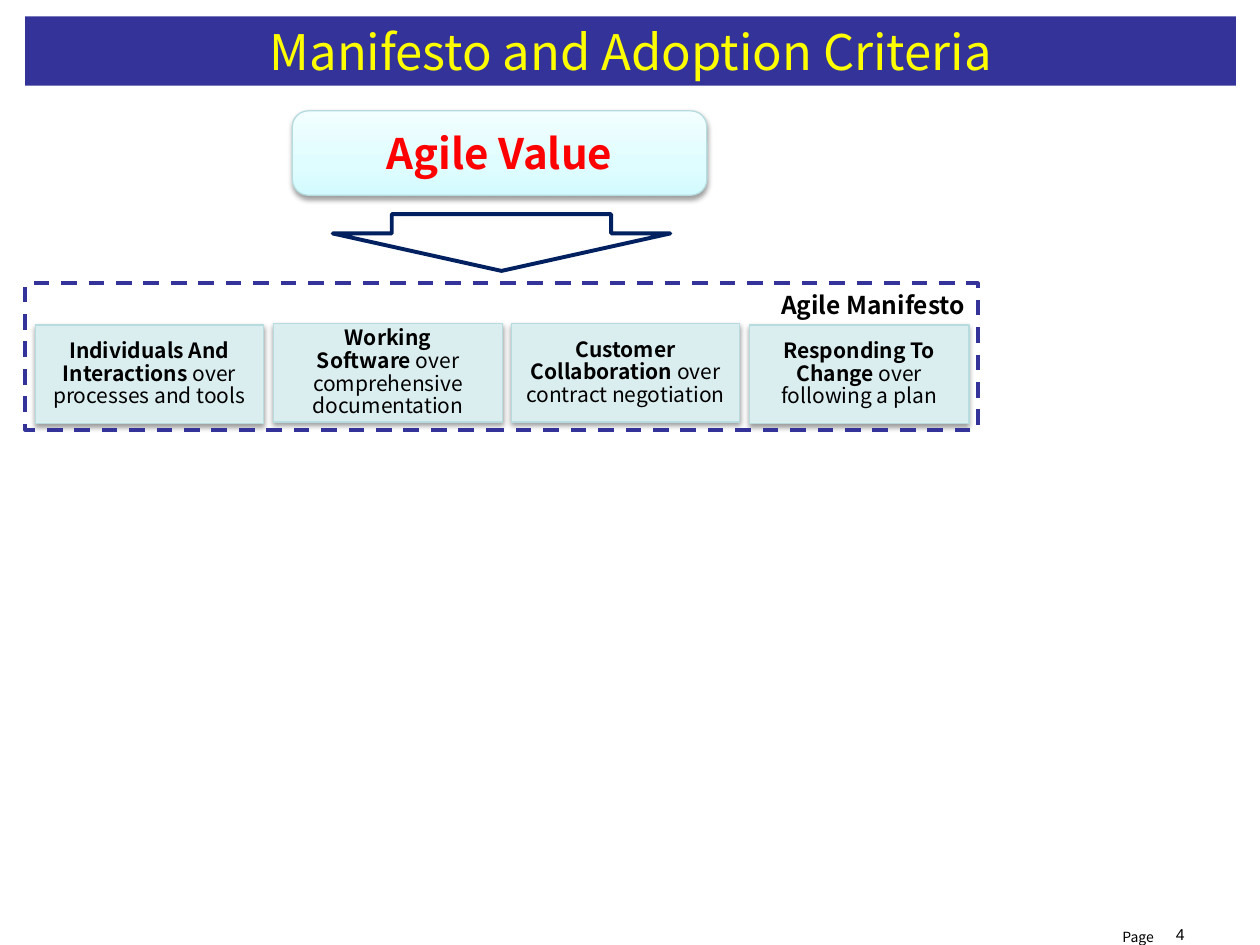
from copy import deepcopy

from lxml import etree
from pptx import Presentation
from pptx.dml.color import RGBColor
from pptx.enum.dml import MSO_LINE
from pptx.enum.shapes import MSO_SHAPE
from pptx.enum.text import MSO_ANCHOR, PP_ALIGN
from pptx.oxml.ns import qn
from pptx.util import Inches, Pt

DASH = MSO_LINE.DASH
RECTANGLE = MSO_SHAPE.RECTANGLE
ROUNDED_RECTANGLE = MSO_SHAPE.ROUNDED_RECTANGLE
DOWN_ARROW = MSO_SHAPE.DOWN_ARROW
TOP, MIDDLE = MSO_ANCHOR.TOP, MSO_ANCHOR.MIDDLE
LEFT, CENTER, RIGHT = PP_ALIGN.LEFT, PP_ALIGN.CENTER, PP_ALIGN.RIGHT

NO_BREAK_SPACE = chr(160)
FONT = "Noto Sans CJK JP"
COLORS = {
    "navy": "333399",
    "yellow": "FFFF00",
    "red": "FF0000",
    "black": "000000",
    "white": "FFFFFF",
    "arrow": "002060",
    "card": "DAEDEF",
    "border": "B6DCDF",
    "value_bottom": "D3FBFF",
    "value_middle": "DFFCFF",
    "value_top": "F2FEFF",
}
VALUE_GRADIENT = [(0, "value_bottom"), (0.35, "value_middle"), (1, "value_top")]
CARD_PITCH = 1.89
CARDS = [
    ("Individuals And Interactions", "over processes and tools", 2.58, 1.81),
    ("Working Software", "over comprehensive documentation", 2.57, 1.82),
    ("Customer Collaboration", "over contract negotiation", 2.57, 1.81),
    ("Responding To Change", "over following a plan", 2.58, 1.74),
]


class SlideBuilder:
    def __init__(self, slide):
        self.slide = slide
        self.font = FONT

    def text(self, shape, runs, size, color="black", align=CENTER, anchor=MIDDLE, font=None):
        frame = shape.text_frame
        frame.vertical_anchor = anchor
        paragraph = frame.paragraphs[0]
        paragraph.alignment = align
        for words, bold in runs:
            run = paragraph.add_run()
            run.text = words
            run.font.name = font or self.font
            run.font.size = Pt(size)
            run.font.bold = bold
            run.font.color.rgb = RGBColor.from_string(COLORS[color])
        return paragraph

    def shape(self, kind, box, fill=None, line=None, line_width=0.75, adjustments=()):
        shape = self.slide.shapes.add_shape(kind, *map(Inches, box))
        shape.shadow.inherit = False
        shape.text_frame.word_wrap = True
        for index, value in enumerate(adjustments):
            shape.adjustments[index] = value
        if fill:
            shape.fill.solid()
            shape.fill.fore_color.rgb = RGBColor.from_string(COLORS[fill])
        else:
            shape.fill.background()
        if line:
            shape.line.color.rgb = RGBColor.from_string(COLORS[line])
            shape.line.width = Pt(line_width)
        else:
            shape.line.fill.background()
        return shape

    def drop_shadow(self, shape):
        effects = shape.element.spPr.find(qn("a:effectLst"))
        shadow = etree.SubElement(
            effects, qn("a:outerShdw"), blurRad=str(Pt(3.1)), dist=str(Pt(1.6)),
            dir="5400000", rotWithShape="0")
        color = etree.SubElement(shadow, qn("a:srgbClr"), val=COLORS["black"])
        etree.SubElement(color, qn("a:alpha"), val="38000")

    def gradient(self, shape, stops, angle):
        shape.fill.gradient()
        shape.fill.gradient_angle = angle
        stop_list = shape.element.spPr.find(".//" + qn("a:gsLst"))
        while len(stop_list) < len(stops):
            stop_list.append(deepcopy(stop_list[0]))
        for stop, (position, color) in zip(shape.fill.gradient_stops, stops):
            stop.position = position
            stop.color.rgb = RGBColor.from_string(COLORS[color])

    def card(self, box, value, compared):
        card = self.shape(RECTANGLE, box, "card", "border")
        self.drop_shadow(card)
        frame = card.text_frame
        frame.margin_left = frame.margin_right = Inches(0.04)
        frame.margin_top = frame.margin_bottom = Inches(0.04)
        paragraph = self.text(card, [(value + NO_BREAK_SPACE, True), (compared, False)], 12)
        paragraph.line_spacing = 0.9
        paragraph.space_after = Pt(4.2)

    def label(self, box, words, size, align, font=None, wrap=True):
        label = self.slide.shapes.add_textbox(*map(Inches, box))
        label.text_frame.word_wrap = wrap
        self.text(label, [(words, False)], size, align=align, anchor=TOP, font=font)


def main():
    presentation = Presentation()
    presentation.slide_width, presentation.slide_height = Inches(10), Inches(7.5)
    builder = SlideBuilder(presentation.slides.add_slide(presentation.slide_layouts[6]))

    builder.label((8.94, 7.29, 0.56, 0.21), "4", 9, RIGHT, font="Arial")
    builder.label((8.81, 7.32, 0.54, 0.24), "Page", 8, LEFT, wrap=False)

    title = builder.shape(RECTANGLE, (0.2, 0.13, 9.61, 0.55), "navy")
    builder.text(title, [("Manifesto and Adoption Criteria", False)], 28, "yellow")

    for index, (value, compared, top, width) in enumerate(CARDS):
        builder.card((0.28 + index * CARD_PITCH, top, width, 0.78), value, compared)

    agile_value = builder.shape(
        ROUNDED_RECTANGLE, (2.32, 0.88, 3.29, 0.67), line="border", adjustments=[0.19])
    builder.gradient(agile_value, VALUE_GRADIENT, 90)
    builder.drop_shadow(agile_value)
    builder.text(agile_value, [("Agile Value", True)], 24, "red")

    manifesto = builder.shape(
        RECTANGLE, (0.2, 2.25, 7.56, 1.16), line="navy", line_width=2.25)
    manifesto.line.dash_style = DASH
    builder.text(manifesto, [("Agile Manifesto", True)], 14, align=RIGHT, anchor=TOP)

    builder.shape(DOWN_ARROW, (2.64, 1.7, 2.68, 0.45), "white", "arrow", 2.25, [0.65, 0.66])

    presentation.save("out.pptx")


if __name__ == "__main__":
    main()
